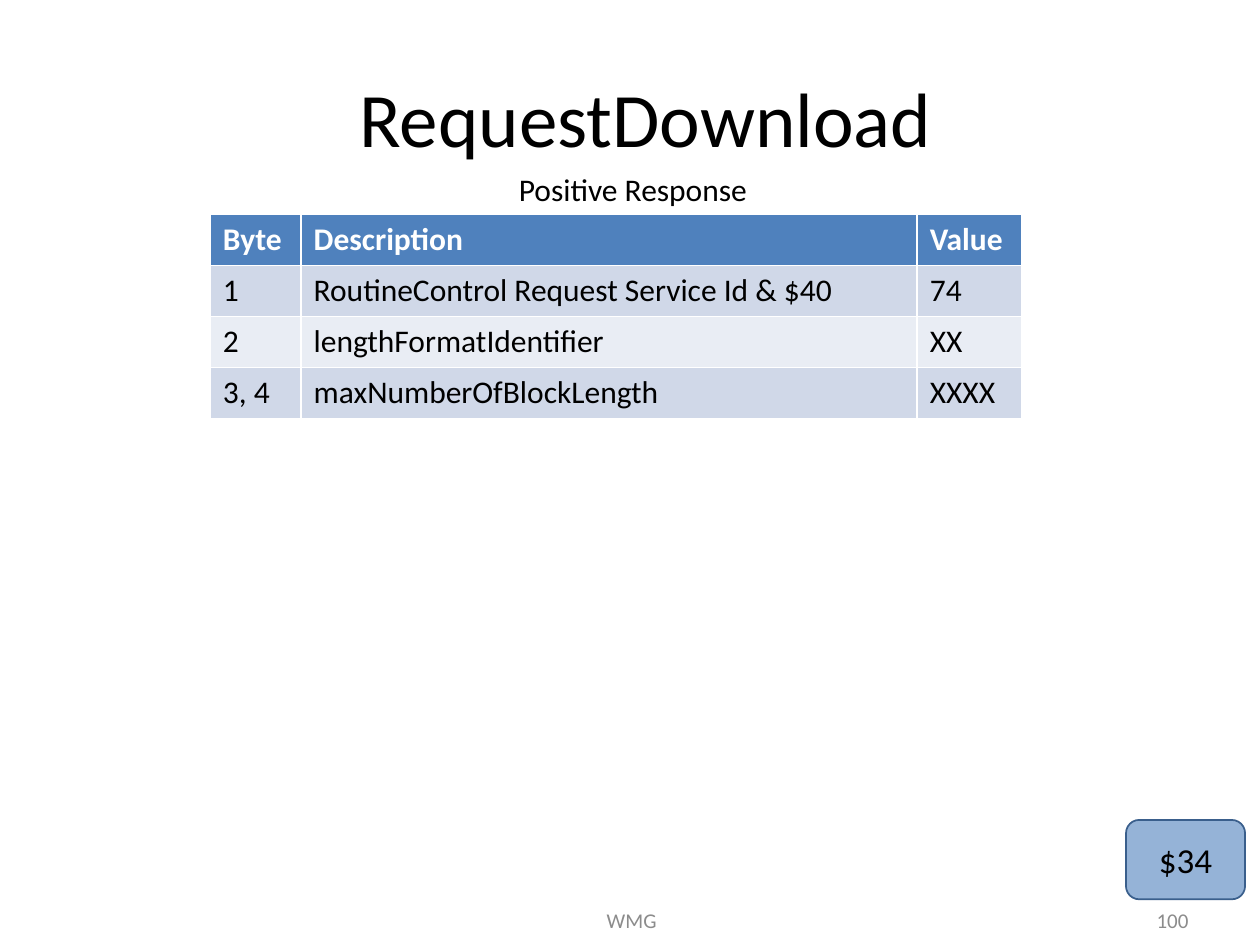
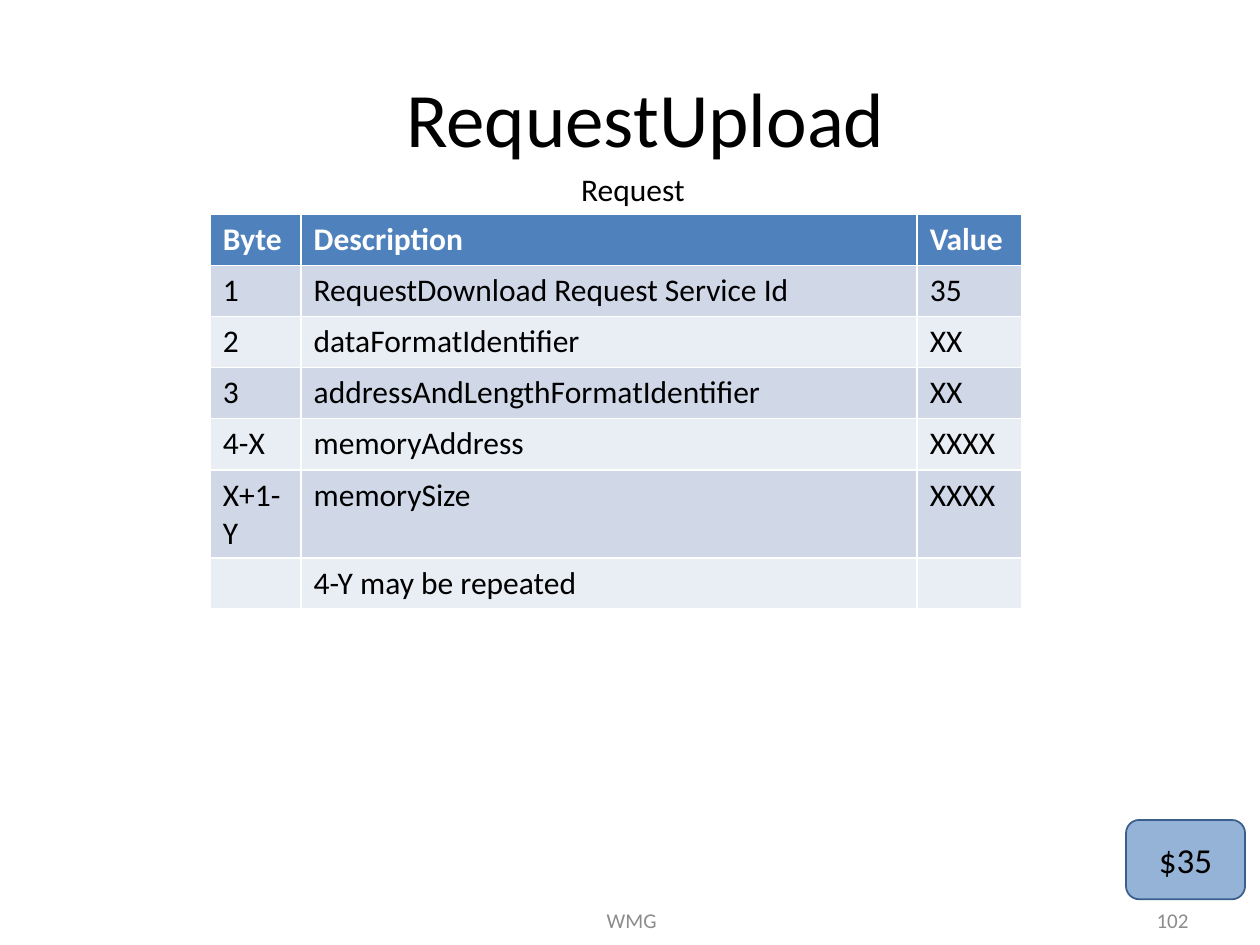
from pptx import Presentation
from pptx.dml.color import RGBColor
from pptx.enum.shapes import MSO_SHAPE
from pptx.enum.text import MSO_ANCHOR, MSO_AUTO_SIZE, PP_ALIGN
from pptx.util import Cm, Pt

FONT = "Calibri"
BLACK = RGBColor(0x00, 0x00, 0x00)
WHITE = RGBColor(0xFF, 0xFF, 0xFF)
FOOTER_GREY = RGBColor(0x8C, 0x8C, 0x8C)
HEADER_BLUE = RGBColor(0x4F, 0x81, 0xBD)
BAND_DARK = RGBColor(0xD0, 0xD8, 0xE8)
BAND_LIGHT = RGBColor(0xE9, 0xED, 0xF4)
BADGE_FILL = RGBColor(0x95, 0xB3, 0xD7)
BADGE_LINE = RGBColor(0x3A, 0x5F, 0x8C)

COLUMN_WIDTHS = (1.83, 12.42, 2.11)
ROW_HEIGHT = 1.03
CAPTION_CENTRE = 12.76
HEADINGS = ("Byte", "Description", "Value")

DOWNLOAD_RESPONSE = [
    ("1", "RoutineControl Request Service Id & $40", "74"),
    ("2", "lengthFormatIdentifier", "XX"),
    ("3, 4", "maxNumberOfBlockLength", "XXXX"),
]
UPLOAD_REQUEST = [
    ("1", "RequestDownload Request Service Id", "35"),
    ("2", "dataFormatIdentifier", "XX"),
    ("3", "addressAndLengthFormatIdentifier", "XX"),
    ("4-X", "memoryAddress", "XXXX"),
    ("X+1-Y", "memorySize", "XXXX"),
    ("", "4-Y may be repeated", ""),
]


def write(frame, text, size, colour=BLACK, align=PP_ALIGN.LEFT, bold=False):
    frame.text = text
    para = frame.paragraphs[0]
    para.alignment = align
    for span in para.runs:
        span.font.name = FONT
        span.font.size = Pt(size)
        span.font.bold = bold
        span.font.color.rgb = colour


def add_title(page, text):
    title = page.shapes.title
    title.left, title.top, title.width, title.height = Cm(1.9), Cm(0.76), Cm(22.23), Cm(3.18)
    title.text_frame.vertical_anchor = MSO_ANCHOR.MIDDLE
    write(title.text_frame, text, 44, align=PP_ALIGN.CENTER)


def add_footer_text(page, text, left, width, align):
    box = page.shapes.add_textbox(Cm(left), Cm(18.03), Cm(width), Cm(1.02))
    box.text_frame.word_wrap = True
    box.text_frame.vertical_anchor = MSO_ANCHOR.MIDDLE
    write(box.text_frame, text, 12, FOOTER_GREY, align)


def add_caption(page, text, width):
    box = page.shapes.add_textbox(Cm(CAPTION_CENTRE - width / 2), Cm(3.3), Cm(width), Cm(1.02))
    box.text_frame.word_wrap = False
    box.text_frame.auto_size = MSO_AUTO_SIZE.SHAPE_TO_FIT_TEXT
    write(box.text_frame, text, 18, align=PP_ALIGN.CENTER)


def add_byte_table(page, messages):
    rows = [HEADINGS, *messages]
    table = page.shapes.add_table(
        len(rows), len(HEADINGS), Cm(4.24), Cm(4.32),
        Cm(sum(COLUMN_WIDTHS)), Cm(ROW_HEIGHT * len(rows)),
    ).table
    for column, width in zip(table.columns, COLUMN_WIDTHS):
        column.width = Cm(width)
    for row_index, values in enumerate(rows):
        is_header = row_index == 0
        band = BAND_DARK if row_index % 2 else BAND_LIGHT
        for cell, value in zip(table.rows[row_index].cells, values):
            cell.fill.solid()
            cell.fill.fore_color.rgb = HEADER_BLUE if is_header else band
            write(cell.text_frame, value, 18, WHITE if is_header else BLACK, bold=is_header)


def add_service_badge(page, service_id):
    badge = page.shapes.add_shape(
        MSO_SHAPE.ROUNDED_RECTANGLE, Cm(22.7), Cm(16.53), Cm(2.4), Cm(1.6)
    )
    badge.shadow.inherit = False
    badge.fill.solid()
    badge.fill.fore_color.rgb = BADGE_FILL
    badge.line.color.rgb = BADGE_LINE
    badge.line.width = Pt(1)
    badge.text_frame.vertical_anchor = MSO_ANCHOR.MIDDLE
    write(badge.text_frame, service_id, 20, align=PP_ALIGN.CENTER)


def add_service_page(deck, title, caption, caption_width, messages, service_id, number):
    page = deck.slides.add_slide(deck.slide_layouts.get_by_name("Title Only"))
    add_title(page, title)
    add_footer_text(page, "WMG", 8.71, 8.05, PP_ALIGN.CENTER)
    add_footer_text(page, number, 18.29, 5.92, PP_ALIGN.RIGHT)
    add_byte_table(page, messages)
    add_service_badge(page, service_id)
    add_caption(page, caption, caption_width)


def main():
    deck = Presentation()
    deck.slide_width, deck.slide_height = Cm(25.4), Cm(19.05)
    add_service_page(deck, "RequestDownload", "Positive Response", 5.16,
                     DOWNLOAD_RESPONSE, "$34", "100")
    add_service_page(deck, "RequestUpload", "Request", 2.62,
                     UPLOAD_REQUEST, "$35", "102")
    deck.save("out.pptx")


if __name__ == "__main__":
    main()
